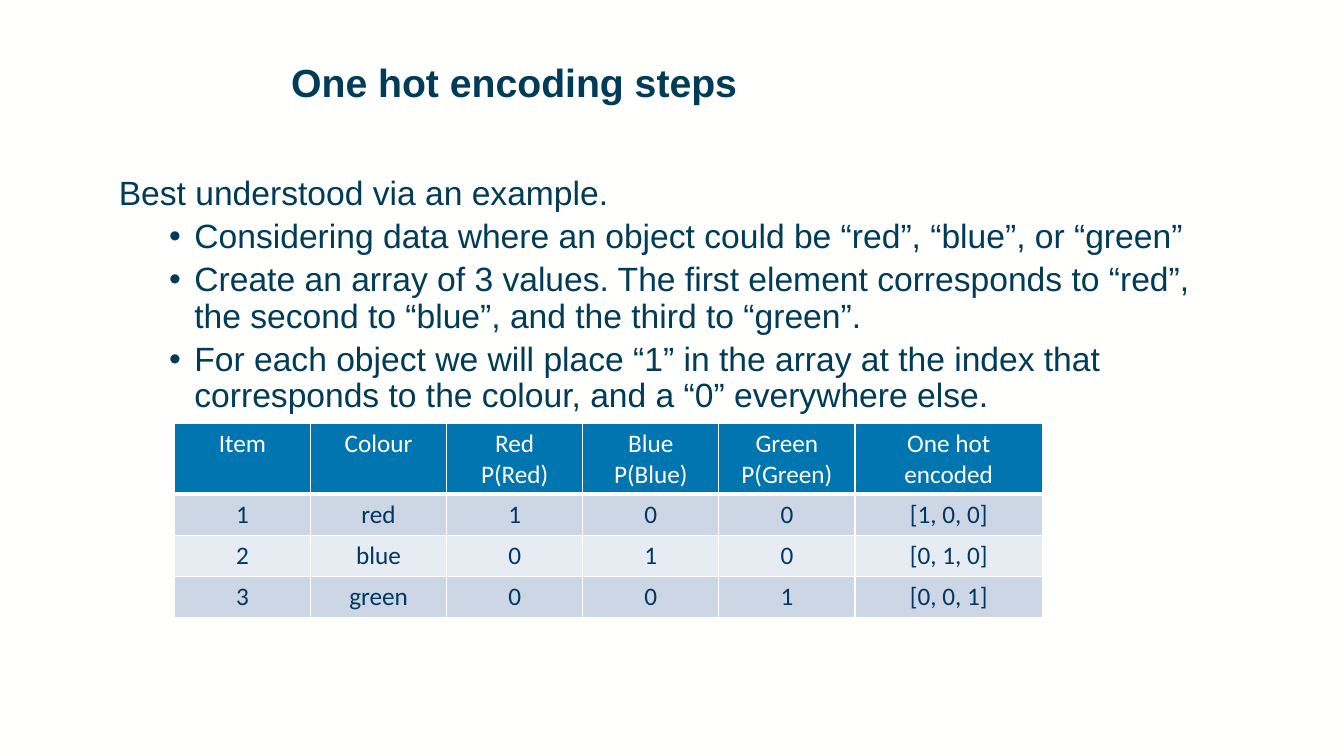
from lxml import etree
from pptx import Presentation
from pptx import util as u
from pptx.dml.color import RGBColor
from pptx.enum import text
from pptx.oxml.ns import qn

PX = 9144  # 100 px to the inch
NAVY = RGBColor(0x00, 0x3B, 0x58)
CELL_NAVY = RGBColor(0x00, 0x38, 0x65)
HEADER_BLUE = RGBColor(0x00, 0x75, 0xB0)
BAND_DARK = RGBColor(0xCC, 0xD6, 0xE4)
BAND_LIGHT = RGBColor(0xE7, 0xEC, 0xF2)
WHITE = RGBColor(0xFF, 0xFF, 0xFE)

STEPS = [
    "Considering data where an object could be “red”, “blue”, or “green”",
    "Create an array of 3 values. The first element corresponds to “red”, "
    "the second to “blue”, and the third to “green”.",
    "For each object we will place “1” in the array at the index that "
    "corresponds to the colour, and a “0” everywhere else.",
]
COLOURS = ["red", "blue", "green"]


def write(paragraph, words, size, color, font="Arial", bold=False,
          align=None, line_spacing=None, before=None, bullet=False):
    """Fill one paragraph with formatted text."""
    paragraph.alignment = align
    paragraph.line_spacing = line_spacing
    if before is not None:
        paragraph.space_before = u.Pt(before)
    if bullet:
        paragraph.level = 1
        properties = paragraph._p.get_or_add_pPr()
        properties.set("marL", str(75 * PX))
        properties.set("indent", str(-25 * PX))
        etree.SubElement(properties, qn("a:buFont")).set("typeface", "Arial")
        etree.SubElement(properties, qn("a:buChar")).set("char", "•")
    run = paragraph.add_run()
    run.text = words
    run.font.name = font
    run.font.size = u.Pt(size)
    run.font.bold = bold
    run.font.color.rgb = color


class SlideBuilder:
    def __init__(self, presentation):
        self.slide = presentation.slides.add_slide(presentation.slide_layouts[6])
        background = self.slide.background.fill
        background.solid()
        background.fore_color.rgb = WHITE

    def text_box(self, left, top, width, height):
        shape = self.slide.shapes.add_textbox(
            left * PX, top * PX, width * PX, height * PX)
        shape.text_frame.word_wrap = True
        return shape.text_frame

    def title(self, words, *place):
        frame = self.text_box(*place)
        write(frame.paragraphs[0], words, 28, NAVY, bold=True, line_spacing=0.9)

    def body(self, lead, bullets, *place):
        frame = self.text_box(*place)
        write(frame.paragraphs[0], lead, 24, NAVY, line_spacing=0.9)
        for words in bullets:
            write(frame.add_paragraph(), words, 24, NAVY,
                  line_spacing=0.9, before=5, bullet=True)

    def borders(self, cell, bottom):
        properties = cell._tc.get_or_add_tcPr()
        for index, side in enumerate("LRTB"):
            line = etree.Element(qn(f"a:ln{side}"))
            line.set("w", str(u.Pt(bottom if side == "B" else 1)))
            fill = etree.SubElement(line, qn("a:solidFill"))
            etree.SubElement(fill, qn("a:srgbClr")).set("val", str(WHITE))
            properties.insert(index, line)

    def table(self, rows, left, top, widths, heights):
        table = self.slide.shapes.add_table(
            len(rows), len(widths), left * PX, top * PX,
            sum(widths) * PX, sum(heights) * PX).table
        for column, width in zip(table.columns, widths):
            column.width = width * PX
        for index, (row, height) in enumerate(zip(rows, heights)):
            table.rows[index].height = height * PX
            header = index == 0
            band = BAND_DARK if index % 2 else BAND_LIGHT
            for number, words in enumerate(row):
                cell = table.cell(index, number)
                cell.fill.solid()
                cell.fill.fore_color.rgb = HEADER_BLUE if header else band
                self.borders(cell, 3 if header else 1)
                frame = cell.text_frame
                for position, part in enumerate(words.split("\n")):
                    paragraph = frame.add_paragraph() if position else frame.paragraphs[0]
                    write(paragraph, part, 18, WHITE if header else CELL_NAVY,
                          font="Calibri", align=text.PP_ALIGN.CENTER)


def encoding_rows():
    names = [colour.capitalize() for colour in COLOURS]
    rows = [["Item", "Colour", *[f"{name}\nP({name})" for name in names],
             "One hot encoded"]]
    for index, colour in enumerate(COLOURS):
        bits = [str(int(index == place)) for place in range(len(COLOURS))]
        rows.append([str(index + 1), colour, *bits, f"[{', '.join(bits)}]"])
    return rows


def main():
    presentation = Presentation()
    presentation.slide_width = 1333 * PX
    presentation.slide_height = 750 * PX
    builder = SlideBuilder(presentation)

    # Heading and explanation
    builder.title("One hot encoding steps", 279, 58, 1007, 97)
    builder.body("Best understood via an example.", STEPS, 108, 170, 1137, 564)

    # Encoding table
    builder.table(encoding_rows(), 173, 420, [135] * 5 + [186], [70] + [41] * 3)

    presentation.save("out.pptx")


if __name__ == "__main__":
    main()
